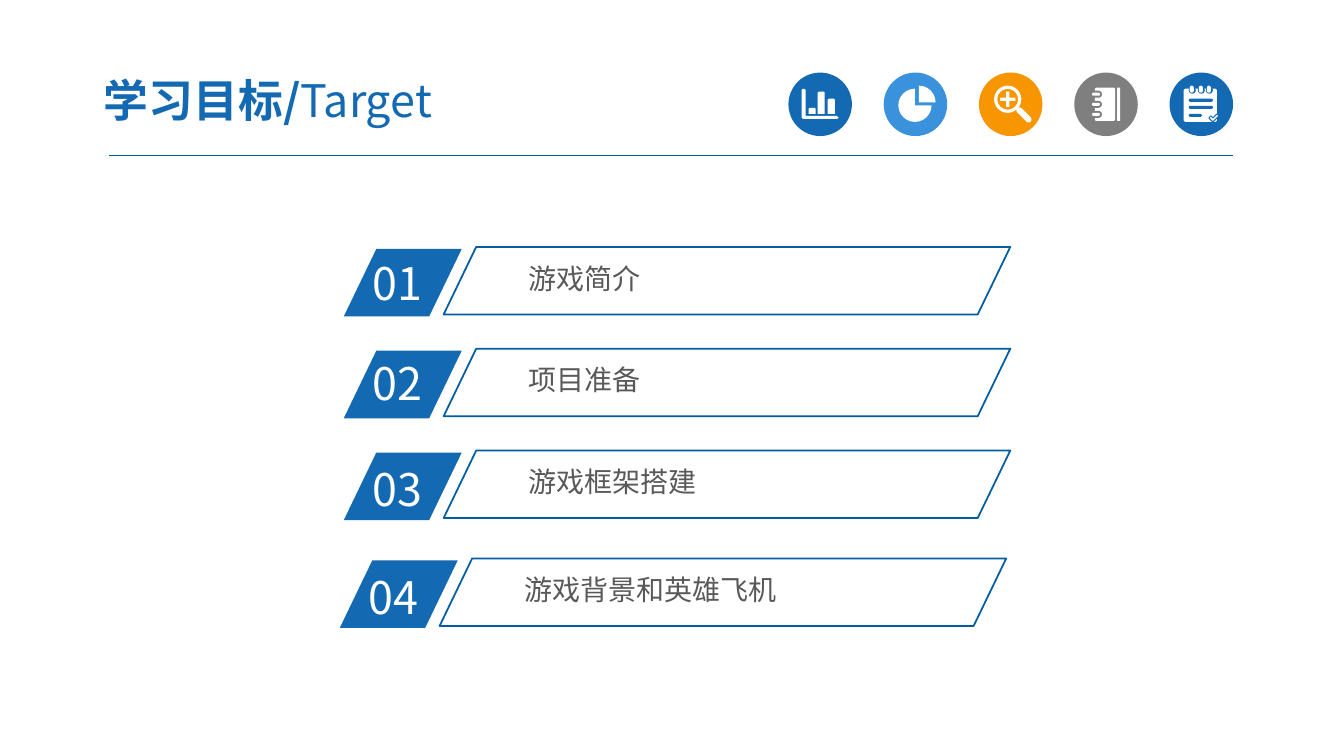
from lxml import etree
from pptx import Presentation
from pptx.dml.color import RGBColor
from pptx.enum.shapes import MSO_CONNECTOR, MSO_SHAPE as SHAPE
from pptx.enum.text import MSO_ANCHOR, PP_ALIGN
from pptx.oxml.ns import qn
from pptx.util import Inches, Pt

FONT = "Noto Sans CJK SC"
BLUE, SKY, ORANGE, GRAY, WHITE = "1369B2", "3992DB", "F79600", "7F7F7F", "FFFFFF"

presentation = Presentation()
presentation.slide_width, presentation.slide_height = Inches(13.33), Inches(7.5)
slide = presentation.slides.add_slide(presentation.slide_layouts[5])


def add_figure(kind, left, top, width, height, fill=WHITE, line=None, adjust=(), rotation=0):
    shape = slide.shapes.add_shape(kind, *map(Inches, (left, top, width, height)))
    shape.shadow.inherit = False
    shape.rotation = rotation
    for index, value in enumerate(adjust):
        shape.adjustments[index] = value
    if fill:
        shape.fill.solid()
        shape.fill.fore_color.rgb = RGBColor.from_string(fill)
    else:
        shape.fill.background()
    if line:
        shape.line.color.rgb = RGBColor.from_string(line)
        shape.line.width = Pt(1.25)
    else:
        shape.line.fill.background()


def write_text(shape, box, runs, size, color, insets=(0.1, 0.05), anchor=MSO_ANCHOR.TOP):
    """Place a text shape and fill it with (text, bold) runs."""
    shape.left, shape.top, shape.width, shape.height = map(Inches, box)
    frame = shape.text_frame
    frame.word_wrap = True
    frame.vertical_anchor = anchor
    frame.margin_left = frame.margin_right = Inches(insets[0])
    frame.margin_top = frame.margin_bottom = Inches(insets[1])
    paragraph = frame.paragraphs[0]
    paragraph.alignment = PP_ALIGN.LEFT
    for text, bold in runs:
        run = paragraph.add_run()
        run.text = text
        run.font.size, run.font.bold, run.font.name = Pt(size), bold, FONT
        run.font.color.rgb = RGBColor.from_string(color)
        etree.SubElement(run._r.get_or_add_rPr(), qn("a:ea"), typeface=FONT)


# Header
write_text(slide.shapes.title, (0.9, 0.63, 5.22, 0.72),
           [("学习目标/", True), ("Target", False)], 32, BLUE,
           insets=(0.13, 0.07), anchor=MSO_ANCHOR.MIDDLE)
rule = slide.shapes.add_connector(
    MSO_CONNECTOR.STRAIGHT, Inches(1.08), Inches(1.54), Inches(12.23), Inches(1.54))
rule.line.color.rgb = RGBColor.from_string("005B9E")
rule.line.width = Pt(0.75)
etree.SubElement(rule._element.spPr, qn("a:effectLst"))

for index, color in enumerate([BLUE, SKY, ORANGE, GRAY, BLUE]):
    add_figure(SHAPE.OVAL, 7.82 + 0.945 * index, 0.72, 0.63, 0.63, color)

# Pie icon: three quarters and a detached quarter
add_figure(SHAPE.PIE, 8.91, 0.88, 0.33, 0.33, adjust=[0, 162])
add_figure(SHAPE.PIE, 8.95, 0.85, 0.33, 0.33, adjust=[162, 0])

# Magnifier icon
add_figure(SHAPE.DONUT, 9.86, 0.85, 0.27, 0.27, adjust=[0.12])
add_figure(SHAPE.CROSS, 9.92, 0.91, 0.15, 0.15, adjust=[0.4])
add_figure(SHAPE.ROUNDED_RECTANGLE, 10.06, 1.11, 0.19, 0.06, adjust=[0.5], rotation=45)

# Notebook icon: cover, edge and three rings
add_figure(SHAPE.ROUNDED_RECTANGLE, 10.86, 0.87, 0.2, 0.33, adjust=[0.08])
add_figure(SHAPE.RECTANGLE, 11.08, 0.87, 0.03, 0.33)
for ring in (0.93, 1.03, 1.13):
    add_figure(SHAPE.ROUNDED_RECTANGLE, 10.83, ring - 0.03, 0.1, 0.07, GRAY, adjust=[0.5])
    add_figure(SHAPE.ROUNDED_RECTANGLE, 10.83, ring - 0.01, 0.08, 0.03, adjust=[0.5])

# Notepad icon: sheet, three rings and three lines
add_figure(SHAPE.ROUNDED_RECTANGLE, 11.74, 0.88, 0.33, 0.33, adjust=[0.06])
for ring in (11.82, 11.91, 11.99):
    add_figure(SHAPE.ROUNDED_RECTANGLE, ring - 0.03, 0.86, 0.07, 0.07, BLUE, adjust=[0.5])
    add_figure(SHAPE.ROUNDED_RECTANGLE, ring - 0.02, 0.85, 0.04, 0.07, adjust=[0.5])
for top, width in [(0.98, 0.24), (1.05, 0.24), (1.13, 0.13)]:
    add_figure(SHAPE.ROUNDED_RECTANGLE, 11.79, top, width, 0.03, BLUE, adjust=[0.5])

# Bar chart icon (axes and three bars) and the notepad's check mark
axes = [(7.95, 0.89), (7.97, 0.88), (7.99, 0.89), (7.99, 1.15), (8.3, 1.15),
        (8.32, 1.17), (8.3, 1.18), (7.97, 1.18), (7.95, 1.17)]
bars = [[(left, 1.13), (left, top + 0.01), (left + 0.01, top), (left + 0.06, top),
         (left + 0.07, top + 0.01), (left + 0.07, 1.13)]
        for left, top in [(8.02, 1.07), (8.11, 0.91), (8.21, 0.98)]]
check = [(11.99, 1.17), (12.01, 1.15), (12.03, 1.17), (12.07, 1.13), (12.09, 1.15), (12.03, 1.21)]
for contours, outline in [([axes, *bars], None), ([check], BLUE)]:
    builder = slide.shapes.build_freeform(*map(Inches, contours[0][0]))
    for index, contour in enumerate(contours):
        corners = [(Inches(x), Inches(y)) for x, y in contour]
        if index:
            builder.move_to(*corners[0])
        builder.add_line_segments(corners[1:])
    icon = builder.convert_to_shape()
    icon.shadow.inherit = False
    icon.fill.solid()
    icon.fill.fore_color.rgb = RGBColor.from_string(WHITE)
    if outline:
        icon.line.color.rgb = RGBColor.from_string(outline)
        icon.line.width = Pt(0.75)
    else:
        icon.line.fill.background()

# Numbered goals: left edge, top of the frame, top of the number
goals = [
    ("游戏简介", 3.41, 2.45, 2.49),
    ("项目准备", 3.41, 3.46, 3.48),
    ("游戏框架搭建", 3.41, 4.47, 4.53),
    ("游戏背景和英雄飞机", 3.37, 5.54, 5.6),
]
for number, (goal, left, top, number_top) in enumerate(goals, start=1):
    add_figure(SHAPE.PARALLELOGRAM, left, top + 0.02, 1.17, 0.67, BLUE, adjust=[0.482])
    write_text(slide.shapes.add_textbox(0, 0, 0, 0), (left + 0.19, number_top, 1.12, 0.64),
               [(f"{number:02}", False)], 32, WHITE)
    write_text(slide.shapes.add_textbox(0, 0, 0, 0), (left + 1.76, top + 0.1, 4.12, 0.41),
               [(goal, False)], 20, "595959", insets=(0.07, 0.04))
    add_figure(SHAPE.PARALLELOGRAM, left + 0.99, top, 5.62, 0.67,
               fill=None, line="005DA2", adjust=[0.482])

presentation.save("out.pptx")
